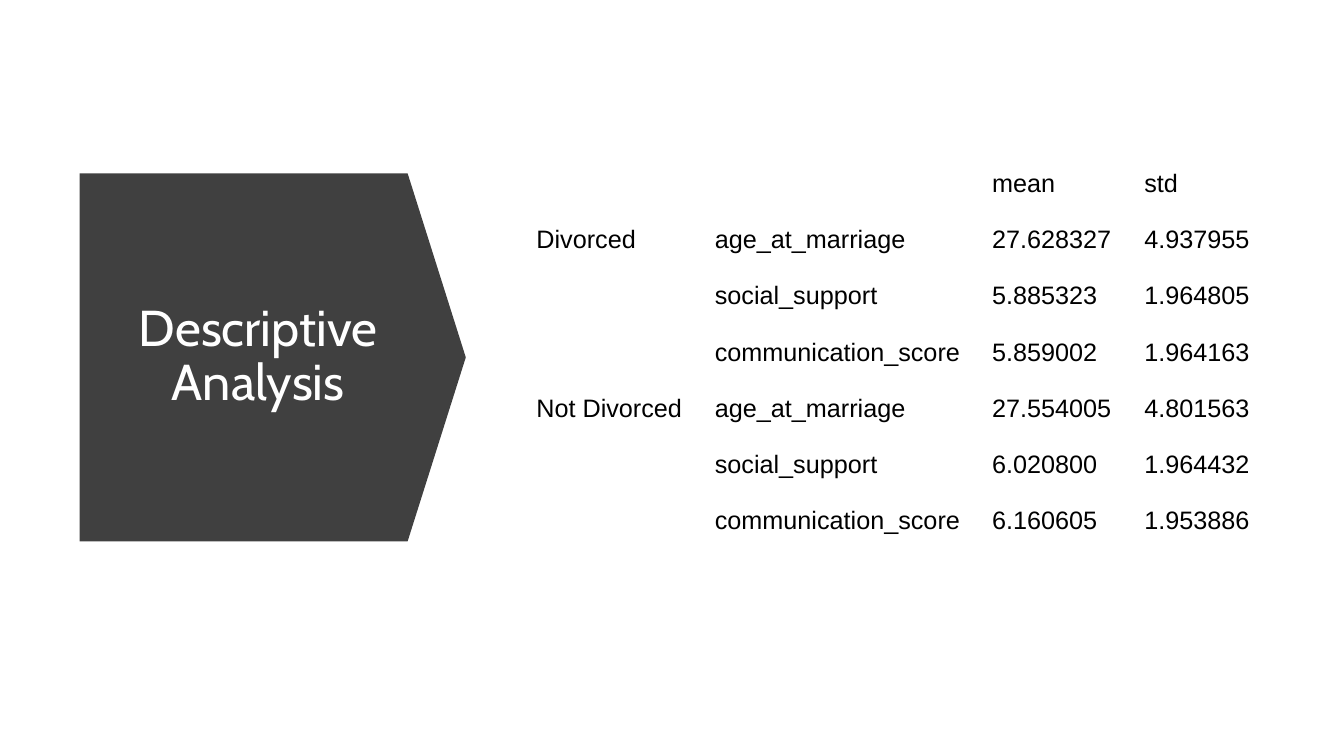
from pptx import Presentation
from pptx.dml.color import RGBColor
from pptx.enum.shapes import MSO_SHAPE
from pptx.enum.text import MSO_ANCHOR, PP_ALIGN
from pptx.util import Inches, Pt

CHARCOAL = RGBColor(0x40, 0x40, 0x40)
WHITE = RGBColor(0xFF, 0xFF, 0xFF)
BLACK = RGBColor(0x00, 0x00, 0x00)

COLUMN_WIDTHS = (1.77, 2.75, 1.51, 1.38)
GROUP_SIZE = 3
STATISTICS = (
    ("", "", "mean", "std"),
    ("Divorced", "age_at_marriage", "27.628327", "4.937955"),
    ("", "social_support", "5.885323", "1.964805"),
    ("", "communication_score", "5.859002", "1.964163"),
    ("Not Divorced", "age_at_marriage", "27.554005", "4.801563"),
    ("", "social_support", "6.020800", "1.964432"),
    ("", "communication_score", "6.160605", "1.953886"),
)


def style_font(font, name, size, color):
    """Set the typeface, size in points and colour of a font."""
    font.name = name
    font.size = Pt(size)
    font.color.rgb = color


def add_title_arrow(slide, left, top, width, height):
    """Place the right-pointing arrow and its title within the given box."""
    offset = (width - height) / 2
    arrow = slide.shapes.add_shape(
        MSO_SHAPE.DOWN_ARROW, Inches(left + offset), Inches(top - offset),
        Inches(height), Inches(width))
    arrow.rotation = 270
    arrow.adjustments[0] = 1
    arrow.adjustments[1] = 0.158
    arrow.shadow.inherit = False
    arrow.fill.solid()
    arrow.fill.fore_color.rgb = CHARCOAL
    arrow.line.fill.background()

    title = slide.shapes.add_textbox(
        Inches(left + 0.33), Inches(top + 0.43), Inches(2.88), Inches(2.79))
    text_frame = title.text_frame
    text_frame.word_wrap = True
    text_frame.vertical_anchor = MSO_ANCHOR.MIDDLE
    text_frame.text = "Descriptive Analysis"
    paragraph = text_frame.paragraphs[0]
    paragraph.alignment = PP_ALIGN.CENTER
    paragraph.line_spacing = 0.9
    style_font(paragraph.runs[0].font, "Cabin", 36, WHITE)


def add_statistics_table(slide, left, top, width, height):
    """Place the table of means and deviations in the given box."""
    table = slide.shapes.add_table(
        len(STATISTICS), len(COLUMN_WIDTHS), Inches(left), Inches(top),
        Inches(width), Inches(height)).table
    table.first_row = False
    table.horz_banding = False
    for column, column_width in zip(table.columns, COLUMN_WIDTHS):
        column.width = Inches(column_width)
    for row_index, values in enumerate(STATISTICS):
        for column_index, value in enumerate(values):
            cell = table.cell(row_index, column_index)
            cell.fill.background()
            cell.text = value
            style_font(cell.text_frame.paragraphs[0].font, "Arial", 18, BLACK)
            for run in cell.text_frame.paragraphs[0].runs:
                style_font(run.font, "Arial", 18, BLACK)
    for first in range(1, len(STATISTICS), GROUP_SIZE):
        table.cell(first, 0).merge(table.cell(first + GROUP_SIZE - 1, 0))


def main():
    """Build the descriptive analysis slide and save it."""
    presentation = Presentation()
    presentation.slide_width = Inches(13.33)
    presentation.slide_height = Inches(7.5)
    slide = presentation.slides.add_slide(presentation.slide_layouts[6])
    add_title_arrow(slide, 0.79, 1.72, 3.83, 3.65)
    add_statistics_table(slide, 5.22, 1.63, 7.41, 3.91)
    presentation.save("out.pptx")


if __name__ == "__main__":
    main()
